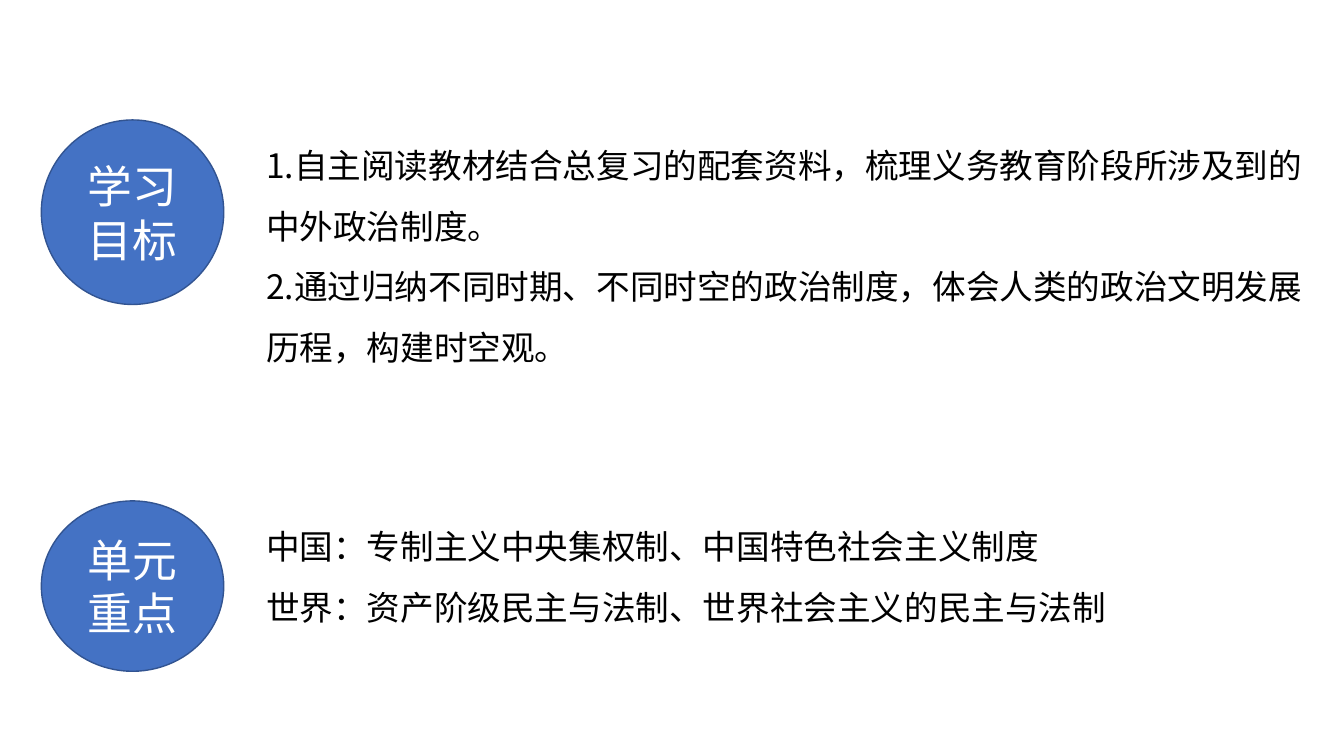
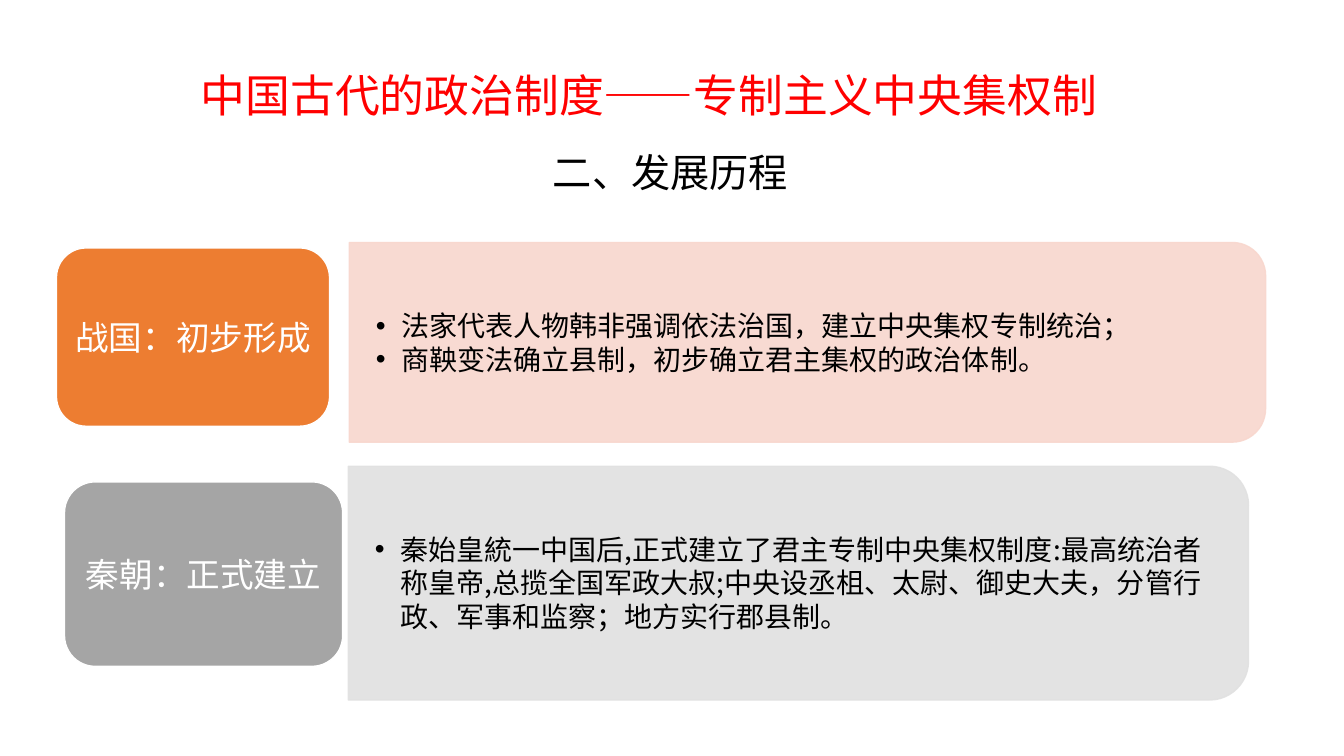
import pptx
import pptx.util
import pptx.dml.color
import pptx.enum.shapes
import pptx.enum.text
import pptx.oxml.ns
import pptx.oxml.xmlchemy

Pt = pptx.util.Pt
SHAPE = pptx.enum.shapes.MSO_SHAPE
ALIGN = pptx.enum.text.PP_ALIGN
ANCHOR = pptx.enum.text.MSO_ANCHOR
OxmlElement = pptx.oxml.xmlchemy.OxmlElement
qn = pptx.oxml.ns.qn

FONT = "Noto Sans CJK SC"
WHITE, BLACK, RED = "FFFFFF", "000000", "FF0000"
BLUE, DARK_BLUE = "4472C4", "325491"


def put_text(sp, lines, size, color, align=ALIGN.LEFT, anchor=ANCHOR.TOP,
             spacing=1.0, bullets=None):
    """Fill sp with one paragraph per line; bullets: True, False or None (leave alone)."""
    tf = sp.text_frame
    tf.word_wrap = True
    tf.auto_size = pptx.enum.text.MSO_AUTO_SIZE.NONE
    tf.vertical_anchor = anchor
    tf.text = "\n".join(lines)
    for p in tf.paragraphs:
        if bullets is not None:
            pPr = p._p.get_or_add_pPr()
            hang = Pt(18) if bullets else 0
            pPr.set("marL", str(int(hang)))
            pPr.set("indent", str(-int(hang)))
            bullet = OxmlElement("a:buChar" if bullets else "a:buNone")
            if bullets:
                bullet.set("char", "•")
            pPr.append(bullet)
        p.alignment = align
        p.line_spacing = spacing
        p.space_before = Pt(0)
        for r in p.runs:
            r.font.size = Pt(size)
            r.font.color.rgb = pptx.dml.color.RGBColor.from_string(color)
            r.font.name = FONT
            ea = OxmlElement("a:ea")
            ea.set("typeface", FONT)
            r._r.get_or_add_rPr().append(ea)


def add_box(s, kind, box, fill, line):
    sp = s.shapes.add_shape(kind, *map(Pt, box))
    sp.shadow.inherit = False
    sp.fill.solid()
    sp.fill.fore_color.rgb = pptx.dml.color.RGBColor.from_string(fill)
    sp.line.color.rgb = pptx.dml.color.RGBColor.from_string(line)
    sp.line.width = Pt(1)
    return sp


prs = pptx.Presentation()
prs.slide_width, prs.slide_height = Pt(960), Pt(540)
layout = prs.slide_layouts.get_by_name("Two Content")

# Slide 1: goals and key points
s = prs.slides.add_slide(layout)
title = s.shapes.title._element
title.getparent().remove(title)
sections = [
    (85.7, 131.8, ["学习", "目标"], 760.3, 225.4,
     ["1.自主阅读教材结合总复习的配套资料，梳理义务教育阶段所涉及到的中外政治制度。",
      "2.通过归纳不同时期、不同时空的政治制度，体会人类的政治文明发展历程，构建时空观。"]),
    (357.8, 121.7, ["单元重点"], 679.7, 94.3,
     ["中国：专制主义中央集权制、中国特色社会主义制度",
      "世界：资产阶级民主与法制、世界社会主义的民主与法制"]),
]
for idx, (top, circle_h, heading, width, height, lines) in enumerate(sections, 1):
    circle = add_box(s, SHAPE.OVAL, (29.5, top, 130.3, circle_h), BLUE, DARK_BLUE)
    put_text(circle, heading, 32, WHITE, ALIGN.CENTER, ANCHOR.MIDDLE)
    body = s.placeholders[idx]
    body.left, body.top, body.width, body.height = map(Pt, (182.9, top, width, height))
    put_text(body, lines, 24, BLACK, spacing=1.5, bullets=False)

# Slide 2: stages of development
s = prs.slides.add_slide(layout)
title = s.shapes.title
title.left, title.top, title.width, title.height = map(Pt, (136.1, 44.6, 713.5, 46.1))
put_text(title, ["中国古代的政治制度——专制主义中央集权制"], 32, RED)
subtitle = s.shapes.add_textbox(*map(Pt, (323.3, 102.2, 311, 41)))
put_text(subtitle, ["二、发展历程"], 28, BLACK, ALIGN.CENTER)

stages = [
    ("战国：初步形成", "ED7D31", (40.3, 177.1, 195.1, 127.4),
     "F8D7CE", (249.5, 173.2, 654.5, 142.6), (180, 648, 128.9),
     ["法家代表人物韩非强调依法治国，建立中央集权专制统治；",
      "商鞅变法确立县制，初步确立君主集权的政治体制。"]),
    ("秦朝：正式建立", "A5A5A5", (46.1, 344.2, 198.7, 131.8),
     "E1E1E1", (248.8, 333, 643, 167), (340.6, 635, 151.2),
     ["秦始皇統一中国后,正式建立了君主专制中央集权制度:最高统治者称皇帝,"
      "总揽全国军政大叔;中央设丞柤、太尉、御史大夫，分管行政、军事和监察；"
      "地方实行郡县制。"]),
]
for idx, (name, color, label_box, tint, panel_box, text_box, lines) in enumerate(stages, 1):
    x, y, w, h = panel_box
    # A quarter turn swaps width and height around the centre
    turned = (x + (w - h) / 2, y + (h - w) / 2, h, w)
    panel = add_box(s, SHAPE.ROUND_2_SAME_RECTANGLE, turned, tint, tint)
    panel.rotation = 90
    for clr in panel._element.spPr.iter(qn("a:srgbClr")):
        alpha = OxmlElement("a:alpha")
        alpha.set("val", "90000")
        clr.append(alpha)
    s.shapes._spTree.insert(2, panel._element)  # behind the placeholders

    body = s.placeholders[idx]
    top, width, height = text_box
    body.left, body.top, body.width, body.height = map(Pt, (x - 0.4, top, width, height))
    tf = body.text_frame
    tf.margin_left = tf.margin_right = Pt(19.4)
    tf.margin_top = tf.margin_bottom = Pt(10)
    put_text(body, lines, 20, BLACK, anchor=ANCHOR.MIDDLE, bullets=True)

    label = add_box(s, SHAPE.ROUNDED_RECTANGLE, label_box, color, WHITE)
    put_text(label, [name], 24, WHITE, ALIGN.CENTER, ANCHOR.MIDDLE)

prs.save("out.pptx")
